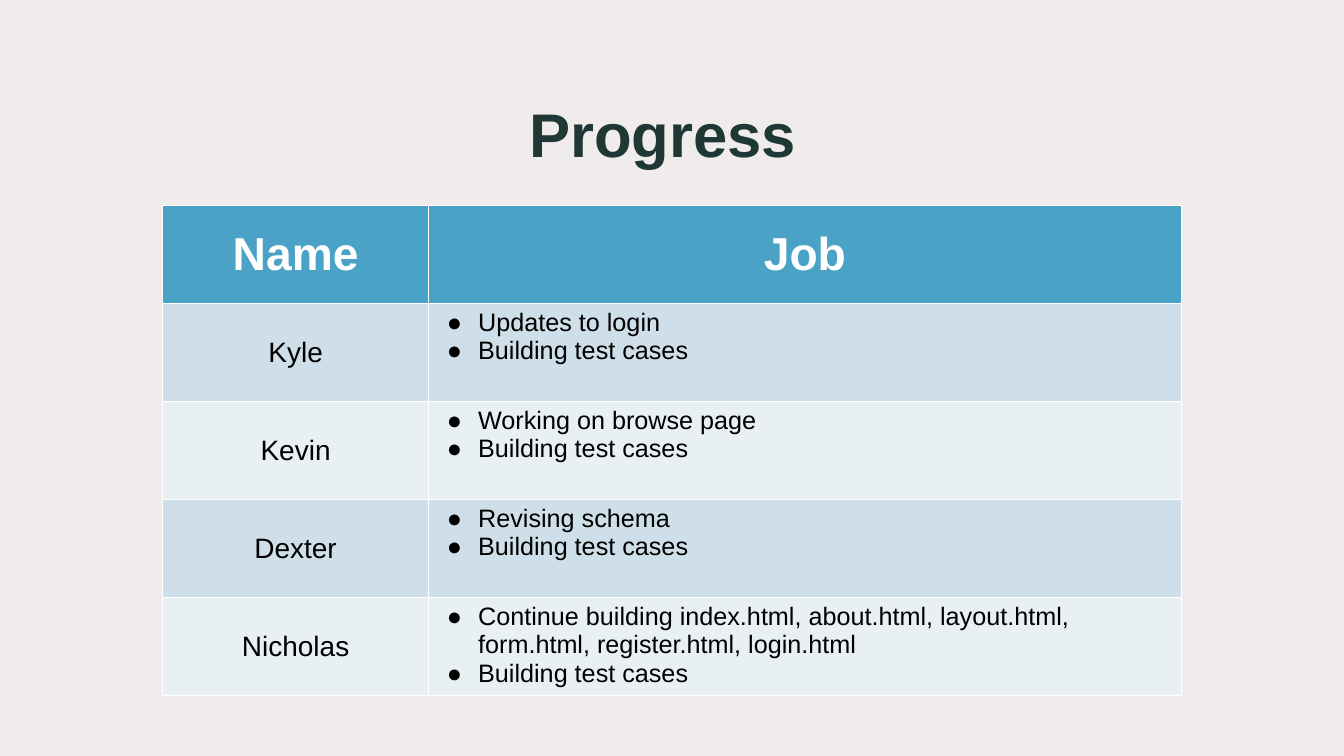
from lxml.etree import SubElement
from pptx import Presentation
from pptx.dml.color import RGBColor
from pptx.enum.shapes import MSO_SHAPE as Shape
from pptx.enum.text import MSO_ANCHOR as Anchor, PP_ALIGN as Align
from pptx.oxml.ns import qn
from pptx.util import Cm, Pt

FONT = "Arial"
TINT, TITLE_COLOR = "E8E4E2", "203835"
HEADER_FILL, BAND_FILLS = "4AA2C6", ("CFDFEA", "E8F0F4")
WHITE, BLACK = "FFFFFF", "000000"

SLIDE_WIDTH, SLIDE_HEIGHT = Cm(33.87), Cm(19.05)
COLUMN_WIDTHS = (6.7, 18.97)
ROW_HEIGHT = 2.47
BULLET_INDENT = Cm(0.79)

HEADERS = ("Name", "Job")
TEST_CASES = "Building test cases"
JOBS = {
    "Kyle": ("Updates to login", TEST_CASES),
    "Kevin": ("Working on browse page", TEST_CASES),
    "Dexter": ("Revising schema", TEST_CASES),
    "Nicholas": (
        "Continue building index.html, about.html, layout.html, "
        "form.html, register.html, login.html",
        TEST_CASES,
    ),
}


def color(hex_value):
    return RGBColor.from_string(hex_value)


def add_backdrop(slide, fill, opacity=100):
    shape = slide.shapes.add_shape(
        Shape.RECTANGLE, 0, 0, SLIDE_WIDTH, SLIDE_HEIGHT)
    shape.shadow.inherit = False
    shape.line.fill.background()
    shape.fill.solid()
    shape.fill.fore_color.rgb = color(fill)
    if opacity < 100:
        fill_color = shape._element.spPr.find(qn("a:solidFill"))[0]
        SubElement(fill_color, qn("a:alpha"), val=str(opacity * 1000))
    # Backdrops lie behind the title placeholder
    slide.shapes.title._element.addprevious(shape._element)


def format_text(text_frame, size, hex_value, bold=False, align=Align.CENTER):
    for paragraph in text_frame.paragraphs:
        paragraph.alignment = align
        for run in paragraph.runs:
            run.font.name = FONT
            run.font.size = Pt(size)
            run.font.bold = bold
            run.font.color.rgb = color(hex_value)


def add_bullet(paragraph):
    properties = paragraph._p.get_or_add_pPr()
    properties.set("marL", str(BULLET_INDENT))
    properties.set("indent", str(-BULLET_INDENT))
    bullet_color = SubElement(properties, qn("a:buClr"))
    SubElement(bullet_color, qn("a:srgbClr"), val=BLACK)
    SubElement(properties, qn("a:buFont"), typeface=FONT)
    SubElement(properties, qn("a:buChar"), char="●")


def add_borders(cell):
    properties = cell._tc.get_or_add_tcPr()
    for index, side in enumerate(("lnL", "lnR", "lnT", "lnB")):
        line = SubElement(properties, qn(f"a:{side}"), w=str(Pt(0.96)))
        fill = SubElement(line, qn("a:solidFill"))
        SubElement(fill, qn("a:srgbClr"), val=WHITE)
        # Borders come before the cell's fill
        properties.insert(index, line)


def fill_cell(cell, text, fill, anchor=Anchor.MIDDLE):
    cell.text_frame.text = text
    cell.vertical_anchor = anchor
    cell.margin_left = cell.margin_right = Cm(0.46)
    cell.margin_top = cell.margin_bottom = Cm(0.13)
    cell.fill.solid()
    cell.fill.fore_color.rgb = color(fill)
    add_borders(cell)


def set_title(slide, text):
    title = slide.shapes.title
    title.left, title.top = Cm(2.33), Cm(1.57)
    title.width, title.height = Cm(28.75), Cm(3.56)
    title.text_frame.text = text
    title.text_frame.vertical_anchor = Anchor.MIDDLE
    format_text(title.text_frame, 44, TITLE_COLOR, bold=True)


def add_job_table(slide):
    row_count = len(JOBS) + 1
    table = slide.shapes.add_table(
        row_count, len(HEADERS), Cm(4.1), Cm(5.18),
        Cm(sum(COLUMN_WIDTHS)), Cm(ROW_HEIGHT * row_count)).table
    for column, width in zip(table.columns, COLUMN_WIDTHS):
        column.width = Cm(width)
    for row in table.rows:
        row.height = Cm(ROW_HEIGHT)

    # Header row
    for index, header in enumerate(HEADERS):
        cell = table.cell(0, index)
        fill_cell(cell, header, HEADER_FILL)
        format_text(cell.text_frame, 33, WHITE, bold=True)

    # One banded row per person
    for index, (name, tasks) in enumerate(JOBS.items()):
        fill = BAND_FILLS[index % 2]
        name_cell, job_cell = table.rows[index + 1].cells
        fill_cell(name_cell, name, fill)
        format_text(name_cell.text_frame, 20, BLACK)
        fill_cell(job_cell, "\n".join(tasks), fill, Anchor.TOP)
        format_text(job_cell.text_frame, 18, BLACK, align=Align.LEFT)
        for paragraph in job_cell.text_frame.paragraphs:
            add_bullet(paragraph)


def main():
    presentation = Presentation()
    presentation.slide_width = SLIDE_WIDTH
    presentation.slide_height = SLIDE_HEIGHT
    slide = presentation.slides.add_slide(presentation.slide_layouts[5])

    # White backdrop with a translucent tint
    add_backdrop(slide, WHITE)
    add_backdrop(slide, TINT, opacity=68)

    set_title(slide, "Progress")
    add_job_table(slide)
    presentation.save("out.pptx")


main()
